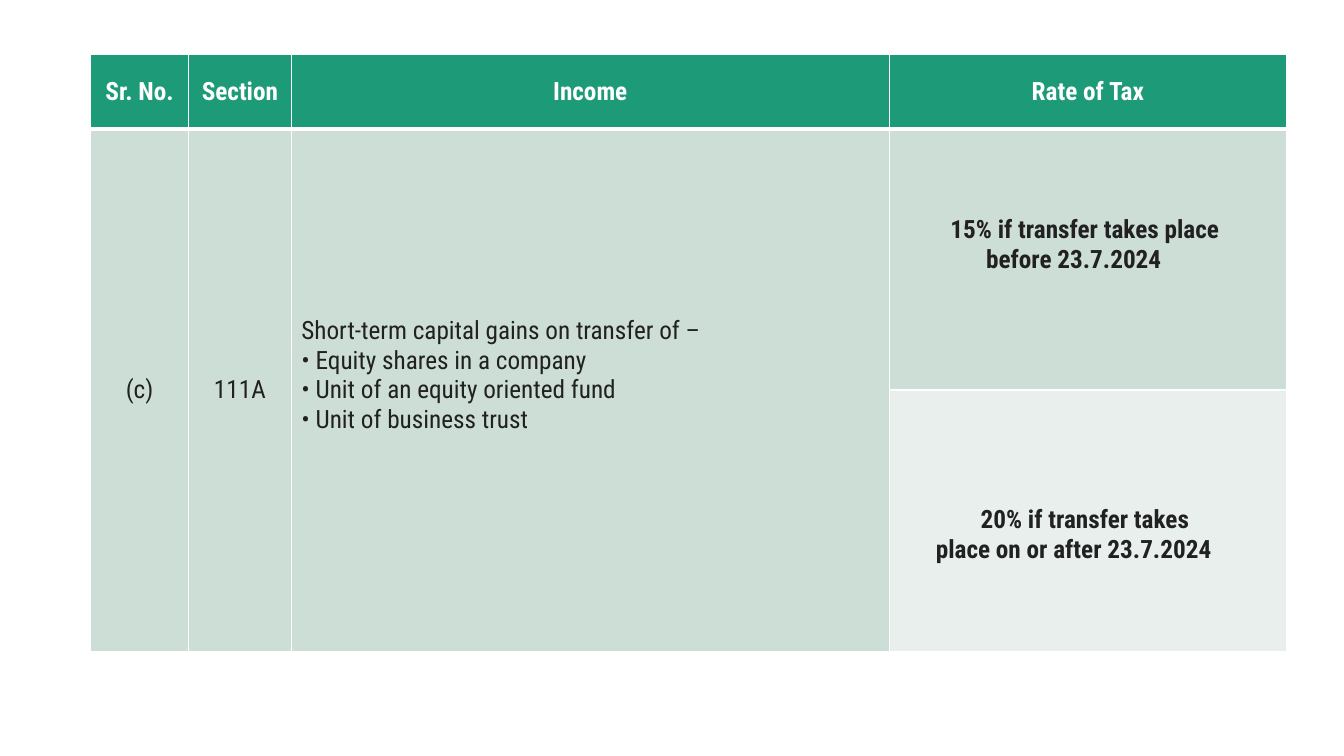
"""Builds a slide with a table of tax rates on short-term capital gains."""
from lxml import etree
from pptx import Presentation, util as u
from pptx.dml.color import RGBColor
from pptx.enum import text
from pptx.oxml import ns

COLORS = {"header": "1D9A78", "band": "CDDED6", "light": "E8EFEC", "white": "FFFFFF", "ink": "212121"}
LINE_HEIGHT = 0.29


def write_cell(cell, lines, fill="band", color="ink", bold=False, align=text.PP_ALIGN.CENTER,
               margins=(0.1, 0.05, 0.1, 0.05), first_indent=0):
    cell.fill.solid()
    cell.fill.fore_color.rgb = RGBColor.from_string(COLORS[fill])
    cell.vertical_anchor = text.MSO_ANCHOR.MIDDLE
    cell.margin_left, cell.margin_top, cell.margin_right, cell.margin_bottom = map(u.Inches, margins)
    for index, line in enumerate(lines):
        paragraph = cell.text_frame.paragraphs[0] if index == 0 else cell.text_frame.add_paragraph()
        paragraph.alignment = align
        if index == 0 and first_indent:
            paragraph._p.get_or_add_pPr().set("marL", str(u.Inches(first_indent)))
        run = paragraph.add_run()
        run.text = line
        run.font.name = "Roboto Condensed"
        run.font.size = u.Pt(18)
        run.font.bold = bold
        run.font.color.rgb = RGBColor.from_string(COLORS[color])


def add_borders(cell, bottom_width):
    properties = cell._tc.get_or_add_tcPr()
    widths = {"a:lnL": 1, "a:lnR": 1, "a:lnT": 1, "a:lnB": bottom_width}
    for position, (tag, width) in enumerate(widths.items()):
        line = etree.Element(ns.qn(tag), w=str(u.Pt(width)))
        solid = etree.SubElement(line, ns.qn("a:solidFill"))
        etree.SubElement(solid, ns.qn("a:srgbClr"), val=COLORS["white"])
        properties.insert(position, line)


presentation = Presentation()
presentation.slide_width = u.Inches(13.33)
presentation.slide_height = u.Inches(7.5)
slide = presentation.slides.add_slide(presentation.slide_layouts[6])

column_widths = [0.97, 1.02, 5.93, 3.94]
row_heights = [0.74, 2.59, 2.59]
table = slide.shapes.add_table(
    len(row_heights), len(column_widths), u.Inches(0.9), u.Inches(0.54),
    u.Inches(sum(column_widths)), u.Inches(sum(row_heights))).table
for column, width in zip(table.columns, column_widths):
    column.width = u.Inches(width)
for row, height in zip(table.rows, row_heights):
    row.height = u.Inches(height)

for column, heading in enumerate(["Sr. No.", "Section", "Income", "Rate of Tax"]):
    write_cell(table.cell(0, column), [heading], fill="header", color="white", bold=True)

for column in range(3):
    table.cell(1, column).merge(table.cell(2, column))
write_cell(table.cell(1, 0), ["(c)"])
write_cell(table.cell(1, 1), ["111A"])
write_cell(table.cell(1, 2), [
    "Short-term capital gains on transfer of –",
    "• Equity shares in a company",
    "• Unit of an equity oriented fund",
    "• Unit of business trust",
], align=text.PP_ALIGN.LEFT, margins=(0.1, 0.05, 0.1, 0.05 + LINE_HEIGHT))

write_cell(table.cell(1, 3), ["15% if transfer takes place", "before 23.7.2024"], bold=True,
           margins=(0.1, 0.05, 0.38, 0.05 + LINE_HEIGHT), first_indent=0.22)
write_cell(table.cell(2, 3), ["20% if transfer takes", "place on or after 23.7.2024"], fill="light",
           bold=True, margins=(0.1, 0.05 + LINE_HEIGHT, 0.38, 0.05), first_indent=0.22)

for row in range(len(row_heights)):
    for column in range(len(column_widths)):
        add_borders(table.cell(row, column), bottom_width=3 if row == 0 else 1)

presentation.save("out.pptx")
